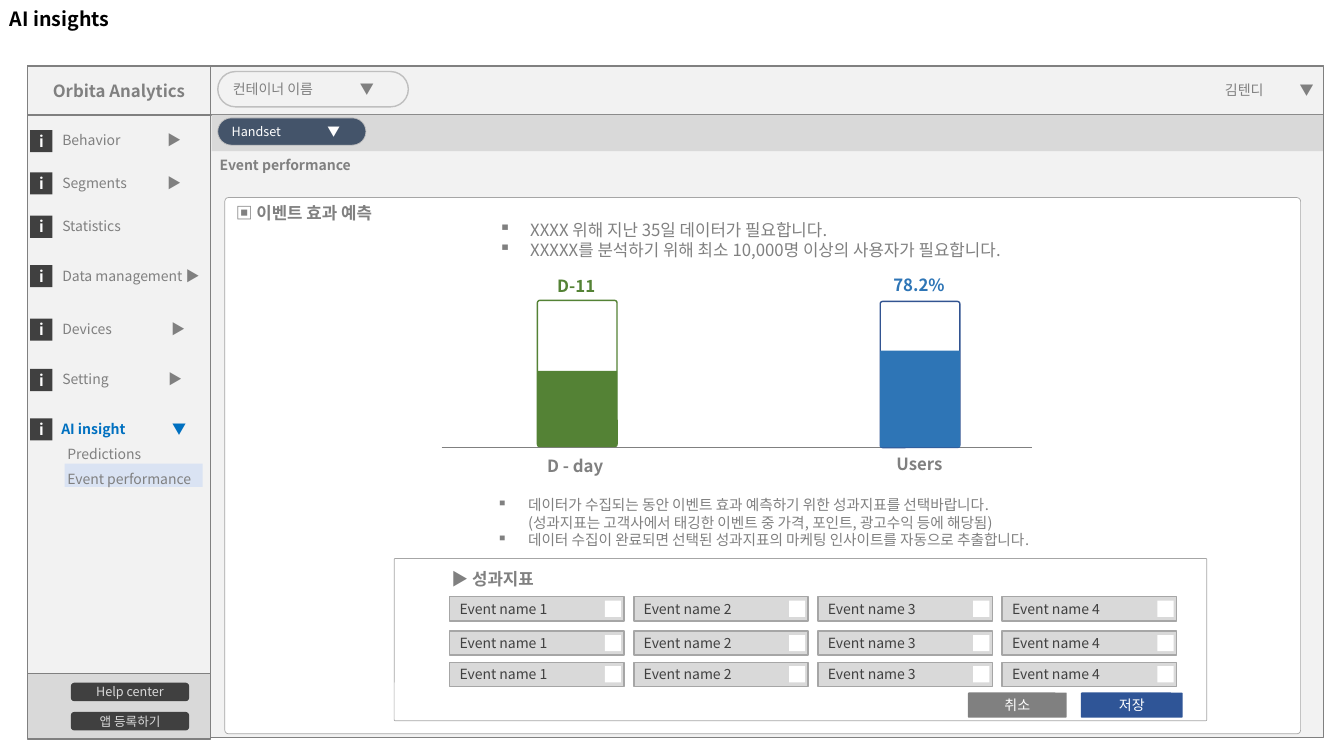
from dataclasses import dataclass

from lxml import etree
from pptx import Presentation
from pptx.dml.color import RGBColor
from pptx.enum.shapes import MSO_CONNECTOR, MSO_SHAPE
from pptx.enum.text import MSO_ANCHOR, MSO_AUTO_SIZE, PP_ALIGN
from pptx.oxml.ns import qn
from pptx.util import Inches, Pt

RECT, ROUND = MSO_SHAPE.RECTANGLE, MSO_SHAPE.ROUNDED_RECTANGLE
LINE = MSO_CONNECTOR.STRAIGHT
LEFT, MID = PP_ALIGN.LEFT, PP_ALIGN.CENTER
ANCHOR, GROW = MSO_ANCHOR.MIDDLE, MSO_AUTO_SIZE.SHAPE_TO_FIT_TEXT


@dataclass(frozen=True)
class Theme:
    font: str = "Noto Sans CJK KR"
    black: str = "000000"
    white: str = "FFFFFF"
    pale: str = "F2F2F2"
    light: str = "D9D9D9"
    edge: str = "BFBFBF"
    mid: str = "A6A6A6"
    gray: str = "808080"
    dark: str = "404040"
    slate: str = "44546A"
    green: str = "548235"
    blue: str = "2E75B6"
    navy: str = "325491"
    save: str = "2F5597"
    link: str = "0070C0"
    tint: str = "DAE3F3"
    title: float = 14
    head: float = 12
    icon: float = 11
    note: float = 10.5
    body: float = 10
    small: float = 9


def write(frame, text, size, color, font, bold=False, align=LEFT,
          tab=None, bullet=None, indent=0, space=None):
    """Add one paragraph; a newline in the text is a line break."""
    para = frame.add_paragraph() if frame.text else frame.paragraphs[0]
    para.alignment = align
    if space:
        para.line_spacing = space
    props = para._p.get_or_add_pPr()
    if indent:
        props.set("marL", str(Inches(indent)))
    if bullet:
        props.set("indent", str(-Inches(indent)))
        etree.SubElement(props, qn("a:buChar"), char=bullet)
    if tab:
        stops = etree.SubElement(props, qn("a:tabLst"))
        etree.SubElement(stops, qn("a:tab"), pos=str(Inches(tab)), algn="l")
    for num, part in enumerate(text.split("\n")):
        if num:
            para.add_line_break()
        run = para.add_run()
        run.text = part
        run.font.size, run.font.bold = Pt(size), bold
        run.font.color.rgb = RGBColor.from_string(color)
        run.font.name = font
        for tag in ("a:ea", "a:cs"):
            etree.SubElement(run.font._element, qn(tag), typeface=font)


class Board:
    def __init__(self, slide, theme):
        self.slide, self.theme = slide, theme

    def put(self, frame, text, size=None, color=None, **style):
        look = self.theme
        write(frame, text, size or look.body, color or look.gray, look.font, **style)

    def box(self, x, y, w, h, fill=None, line=None, width=1, curve=None,
            text=None, pad=(0.1, 0.1), **style):
        kind = RECT if curve is None else ROUND
        shape = self.slide.shapes.add_shape(
            kind, Inches(x), Inches(y), Inches(w), Inches(h))
        shape.shadow.inherit = False
        if curve is not None:
            shape.adjustments[0] = curve
        if fill:
            shape.fill.solid()
            shape.fill.fore_color.rgb = RGBColor.from_string(fill)
        else:
            shape.fill.background()
        if line:
            shape.line.color.rgb = RGBColor.from_string(line)
            shape.line.width = Pt(width)
        else:
            shape.line.fill.background()
        if text:
            frame = shape.text_frame
            frame.vertical_anchor = ANCHOR
            frame.margin_left, frame.margin_right = map(Inches, pad)
            self.put(frame, text, **style)

    def label(self, x, y, w, h, text, pad=(0.1, 0.1), **style):
        area = self.slide.shapes.add_textbox(
            Inches(x), Inches(y), Inches(w), Inches(h))
        frame = area.text_frame
        frame.word_wrap, frame.auto_size = True, GROW
        frame.margin_left, frame.margin_right = map(Inches, pad)
        self.put(frame, text, **style)
        return frame

    def rule(self, x1, x2, y):
        line = self.slide.shapes.add_connector(
            LINE, Inches(x1), Inches(y), Inches(x2), Inches(y))
        line.line.color.rgb = RGBColor.from_string(self.theme.gray)
        line.line.width = Pt(0.5)
        etree.SubElement(line._element.spPr, qn("a:effectLst"))

    def gauge(self, x, y, level, color, edge, value, top):
        self.box(x, y, 0.79, 1.45, line=edge, curve=0.03)
        self.box(x, y + 1.45 - level, 0.79, level, fill=color)
        self.label(x - 0.02, top, 0.81, 0.3, value, size=self.theme.head,
                   color=color, bold=True, align=MID)


def main():
    deck = Presentation()
    deck.slide_width, deck.slide_height = Inches(13.33), Inches(7.5)
    look = Theme()
    board = Board(deck.slides.add_slide(deck.slide_layouts[6]), look)
    bold = {"size": look.head, "bold": True}

    # Window frame and header
    frame = {"fill": look.pale, "line": look.gray}
    board.box(0.27, 0.65, 1.82, 6.67, **frame)
    board.box(2.09, 0.65, 11.04, 6.67, **frame)
    board.box(0.27, 0.66, 1.82, 0.48, text="Orbita Analytics", align=MID,
              **frame, **bold)
    board.box(2.09, 0.66, 11.04, 0.48, **frame)
    board.label(11.97, 0.76, 1.16, 0.27, "김텐디\t▼", pad=(0.18, 0), tab=0.74)
    board.label(0, 0.02, 4.56, 0.34, "AI insights", size=look.title,
                color=look.black, bold=True)
    board.box(2.16, 0.71, 1.89, 0.35, fill=look.pale, line=look.edge, curve=0.5,
              text="컨테이너 이름\t▼", tab=1.26)

    # Sidebar footer
    board.box(0.27, 6.68, 1.82, 0.65, fill=look.light, line=look.gray)
    for y, text in ((6.78, "Help center"), (7.07, "앱 등록하기")):
        board.box(0.71, y, 1.16, 0.17, fill=look.dark, line=look.dark, curve=0.17,
                  text=text, size=look.small, color=look.light, align=MID)

    # Sidebar menu
    menu = ((1.29, "Behavior\t▶", 1.04), (1.71, "Segments\t▶", 1.04),
            (2.14, "Statistics", None), (2.63, "Data management ▶", None),
            (3.16, "Devices\t▶", 1.08), (3.66, "Setting\t▶", 1.05),
            (4.15, None, None))
    for y, text, tab in menu:
        board.box(0.3, y, 0.22, 0.22, fill=look.dark, text="i", pad=(0, 0),
                  size=look.icon, color=look.white, bold=True, align=MID)
        if text:
            board.label(0.52, y - 0.03, 1.57, 0.27, text, tab=tab)
    board.box(0.64, 4.6, 1.37, 0.23, fill=look.tint)
    group = board.label(0.51, 4.12, 1.57, 0.75, "AI insight\t▼",
                        color=look.link, bold=True, tab=1.1)
    for text in ("Predictions", "Event performance"):
        board.put(group, text, indent=0.06, space=1.5)

    # Page heading and main panel
    board.label(2.08, 1.5, 2.75, 0.27, "Event performance", bold=True)
    panel = {"fill": look.white, "line": look.mid, "width": 0.5, "curve": 0.007}
    board.box(2.23, 1.96, 10.67, 5.32, **panel)
    board.box(2.1, 1.14, 11.02, 0.36, fill=look.light)
    board.box(2.16, 1.17, 1.47, 0.27, fill=look.slate, line=look.edge, width=0.5,
              curve=0.5, text="Handset\t▼", pad=(0.1, 0.04), tab=0.95,
              size=look.small, color=look.white)
    board.label(2.24, 1.96, 3.06, 0.3, "▣ 이벤트 효과 예측", **bold)

    # Requirements and gauges
    points = {"bullet": "▪", "indent": 0.31}
    needs = board.label(4.85, 2.13, 6.01, 0.5,
                        "XXXX 위해 지난 35일 데이터가 필요합니다.",
                        size=look.head, **points)
    board.put(needs, "XXXXX를 분석하기 위해 최소 10,000명 이상의 사용자가 필요합니다.",
              size=look.head, **points)
    board.rule(4.38, 10.24, 4.44)
    board.gauge(8.73, 2.99, 0.96, look.blue, look.navy, "78.2%", 2.68)
    board.gauge(5.33, 2.98, 0.75, look.green, look.green, "D-11", 2.69)
    board.label(5.12, 4.47, 1.17, 0.3, "D - day", align=MID, **bold)
    board.label(8.49, 4.45, 1.26, 0.3, "Users", align=MID, **bold)

    # Guidance
    guide = board.label(
        4.83, 4.87, 6.39, 0.63,
        "데이터가 수집되는 동안 이벤트 효과 예측하기 위한 성과지표를 선택바랍니다.\n"
        "(성과지표는 고객사에서 태깅한 이벤트 중 가격, 포인트, 광고수익 등에 해당됨)",
        size=look.note, **points)
    board.put(guide, "데이터 수집이 완료되면 선택된 성과지표의 마케팅 인사이트를 자동으로 추출합니다.",
              size=look.note, **points)

    # Event picker
    board.box(3.91, 5.54, 8.06, 1.61, **panel)
    board.label(4.38, 5.59, 3.06, 0.3, "▶ 성과지표", **bold)
    for y in (5.92, 6.26, 6.57):
        for col in range(4):
            x = 4.46 + col * 5.48 / 3
            board.box(x, y, 1.73, 0.24, fill=look.light, line=look.mid,
                      text=f"Event name {col + 1}", color=look.dark)
            board.box(x + 1.54, y + 0.04, 0.16, 0.16, fill=look.white)
    for x, w, fill, text in ((10.72, 1.01, look.save, "저장"),
                             (9.6, 0.98, look.gray, "취소")):
        board.box(x, 6.87, w, 0.25, fill=fill, curve=0.044, text=text,
                  color=look.white, align=MID)

    deck.save("out.pptx")


if __name__ == "__main__":
    main()
